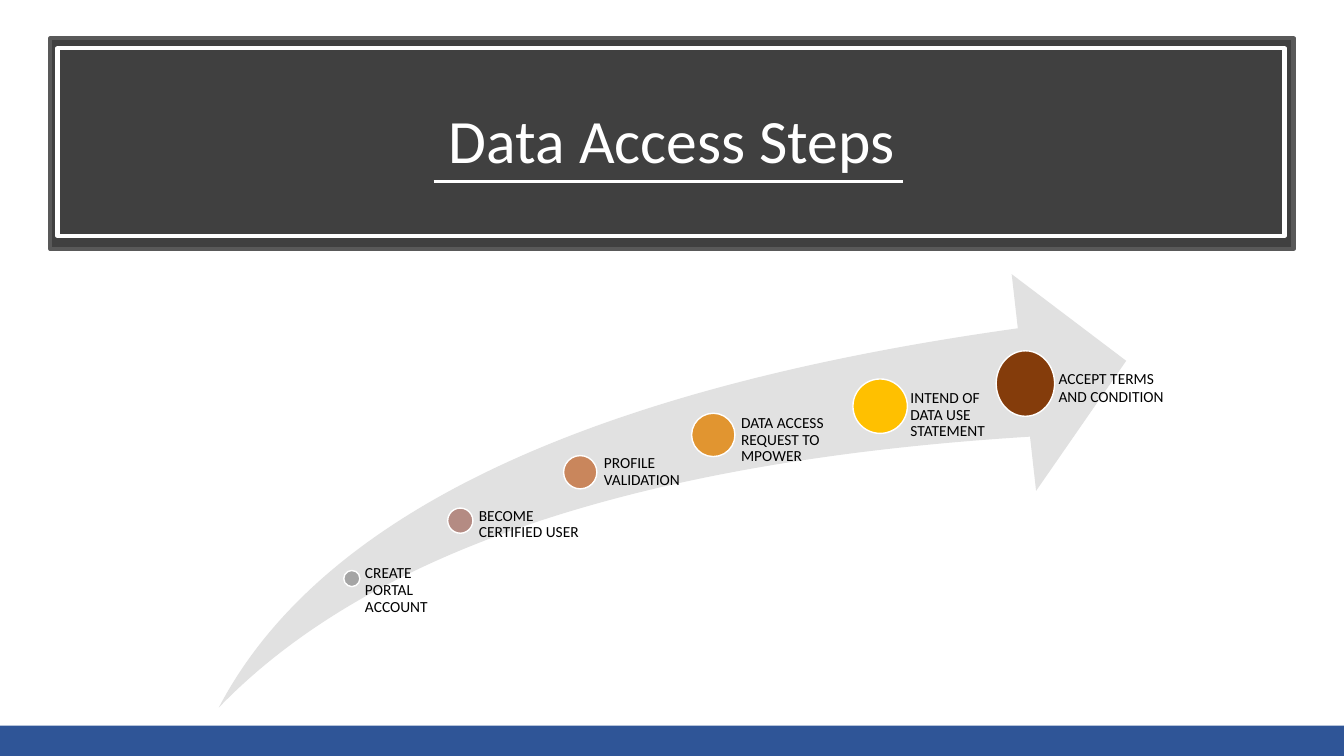
import pptx
import pptx.util
import pptx.dml.color
import pptx.enum.shapes
import pptx.enum.text
import lxml.etree

RGB = pptx.dml.color.RGBColor
KIND = pptx.enum.shapes.MSO_SHAPE
ALIGN = pptx.enum.text.PP_ALIGN
ANCHOR = pptx.enum.text.MSO_ANCHOR

WHITE = RGB(0xFF, 0xFF, 0xFF)
BLACK = RGB(0x00, 0x00, 0x00)
BLUE = RGB(0x2F, 0x55, 0x97)
DARK = RGB(0x40, 0x40, 0x40)
EDGE = RGB(0x59, 0x59, 0x59)
PALE = RGB(0xE1, 0xE1, 0xE1)
GRAY = RGB(0xA5, 0xA5, 0xA5)
ROSE = RGB(0xB4, 0x8B, 0x83)
CLAY = RGB(0xC9, 0x86, 0x5C)
AMBER = RGB(0xE1, 0x95, 0x30)
GOLD = RGB(0xFF, 0xC0, 0x00)
BROWN = RGB(0x84, 0x3C, 0x0B)

STEPS = [
    ((341, 566, 16, 16), GRAY, (354, 561, 90, 102), 8, "CREATE PORTAL ACCOUNT"),
    ((444, 504, 25, 25), ROSE, (462, 504, 114, 180), 13, "BECOME CERTIFIED USER"),
    ((559, 452, 33, 33), CLAY, (581, 452, 133, 242), 18, "PROFILE VALIDATION"),
    ((686, 410, 43, 43), AMBER, (712, 412, 138, 288), 23, "DATA ACCESS REQUEST TO MPOWER"),
    ((846, 376, 54, 54), GOLD, (874, 387, 108, 290), 29, "INTEND OF DATA USE STATEMENT"),
]


def px(n):
    """Turn px, a hundred to the inch, into EMU."""
    return pptx.util.Emu(n * 9144)


class Deck:
    """Hold the style and the current slide."""

    def __init__(self, wide, high, font):
        """Open a blank slide of the given size."""
        self.file = pptx.Presentation()
        self.file.slide_width, self.file.slide_height = px(wide), px(high)
        self.slide = self.file.slides.add_slide(self.file.slide_layouts[6])
        self.font = font

    def shape(self, kind, box, fill=None, line=None, width=1):
        """Add a preset shape."""
        item = self.slide.shapes.add_shape(kind, *map(px, box))
        item.shadow.inherit = False
        if fill is None:
            item.fill.background()
        else:
            item.fill.solid()
            item.fill.fore_color.rgb = fill
        if line is None:
            item.line.fill.background()
        else:
            item.line.color.rgb = line
            item.line.width = pptx.util.Pt(width)
        return item

    def text(self, item, words, size, color, align=ALIGN.LEFT, space=0.9):
        """Put one styled run into a shape or text box."""
        item.text_frame.word_wrap = True
        para = item.text_frame.paragraphs[0]
        para.alignment, para.line_spacing = align, space
        run = para.add_run()
        run.text = words
        run.font.name, run.font.size = self.font, pptx.util.Pt(size)
        run.font.color.rgb = color

    def label(self, box, words, pads=(10, 5, 10, 5), space=0.9):
        """Add a small black caption."""
        item = self.slide.shapes.add_textbox(*map(px, box))
        frame = item.text_frame
        (frame.margin_left, frame.margin_top,
         frame.margin_right, frame.margin_bottom) = map(px, pads)
        self.text(item, words, 11, BLACK, space=space)

    def rule(self, ends, color, width):
        """Add a straight line."""
        kind = pptx.enum.shapes.MSO_CONNECTOR.STRAIGHT
        item = self.slide.shapes.add_connector(kind, *map(px, ends))
        item.line.color.rgb = color
        item.line.width = pptx.util.Pt(width)
        tag = pptx.oxml.ns.qn("a:effectLst")
        lxml.etree.SubElement(item._element.spPr, tag)


def main():
    """Build the slide."""
    deck = Deck(1333, 750, "Calibri")
    deck.shape(KIND.RECTANGLE, (0, 720, 1333, 30), BLUE)

    title = deck.shape(KIND.RECTANGLE, (50, 38, 1233, 209), DARK, EDGE, 3)
    title.text_frame.vertical_anchor = ANCHOR.MIDDLE
    deck.text(title, "Data Access Steps", 44, WHITE, ALIGN.CENTER)
    deck.shape(KIND.RECTANGLE, (57, 48, 1217, 186), None, WHITE, 3)
    deck.rule((430, 180, 896, 180), WHITE, 2.25)

    arrow = deck.shape(KIND.SWOOSH_ARROW, (217, 272, 900, 430), PALE)
    arrow.adjustments[0] = arrow.adjustments[1] = 0.25

    for dot, color, box, pad, words in STEPS:
        deck.shape(KIND.OVAL, dot, color, WHITE)
        deck.label(box, words, (pad, 0, 0, 0))
    deck.label((1040, 361, 131, 77), "ACCEPT TERMS AND CONDITION", space=1.0)
    deck.shape(KIND.OVAL, (988, 348, 58, 65), BROWN, WHITE)

    deck.file.save("out.pptx")


if __name__ == "__main__":
    main()
